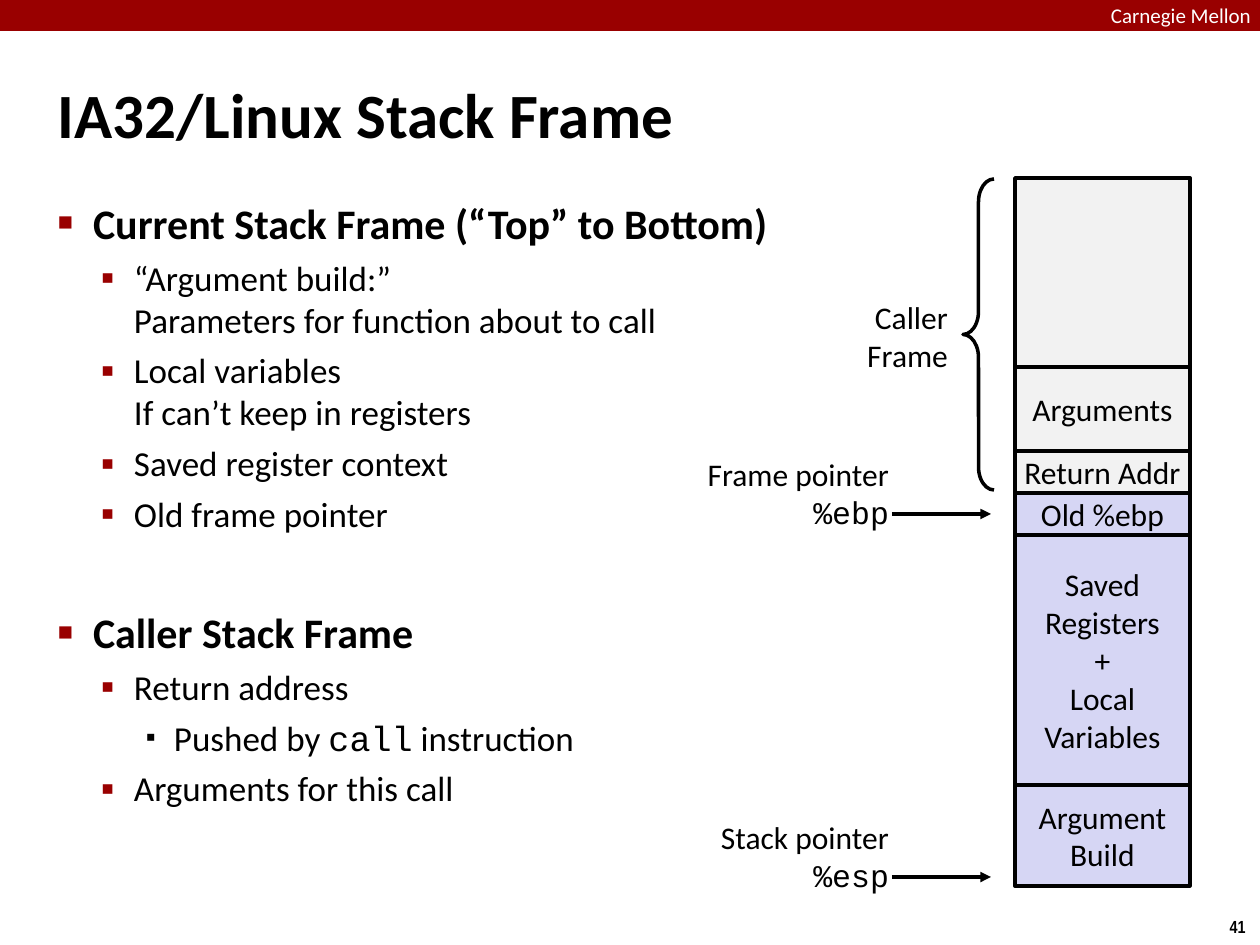
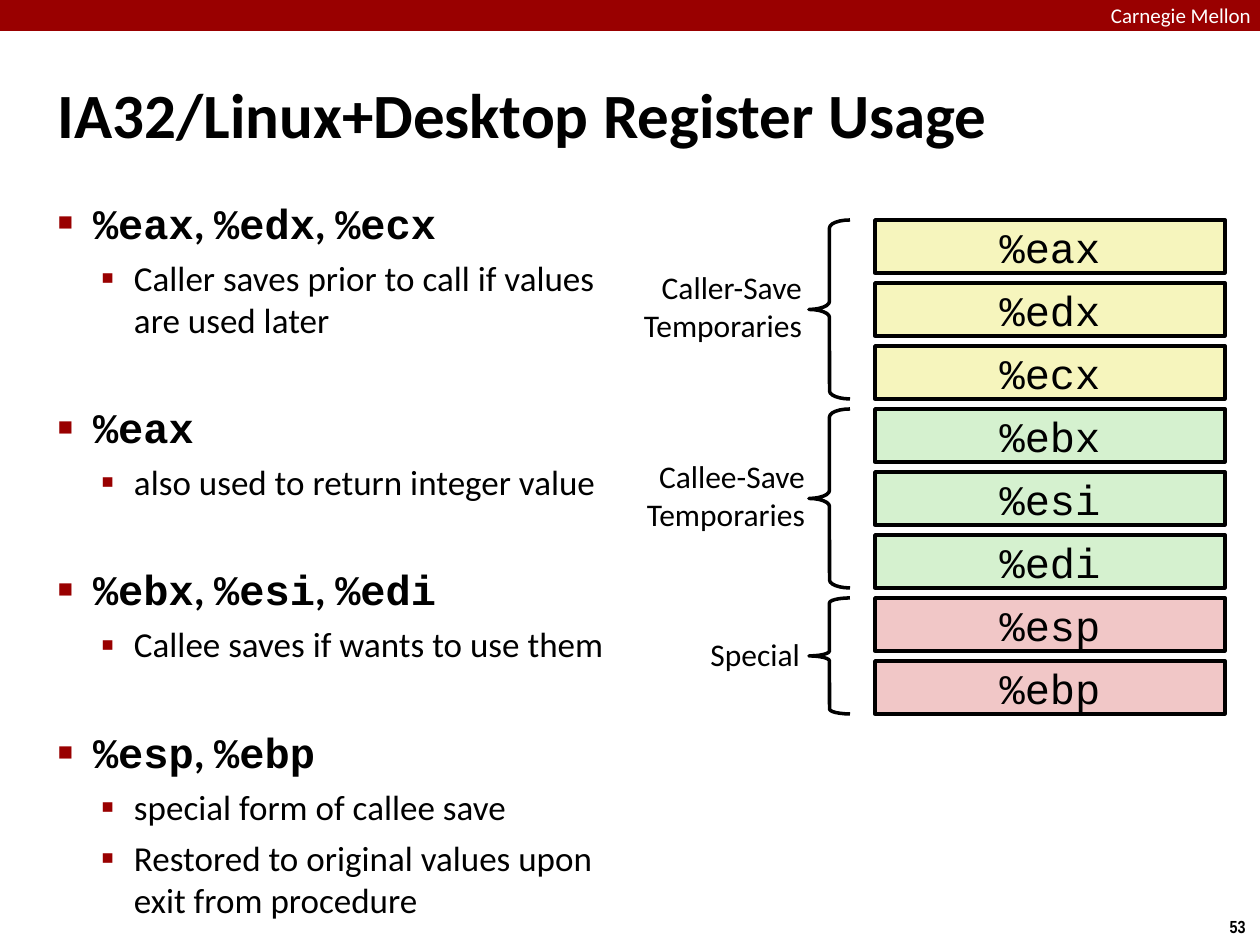
"""Build two lecture slides on IA32 stack frames and register usage."""
from itertools import accumulate

from lxml.etree import SubElement
from pptx import Presentation
from pptx.dml.color import RGBColor
from pptx.enum.shapes import MSO_CONNECTOR as LINK, MSO_SHAPE as SHAPE
from pptx.enum.text import MSO_ANCHOR as ANCHOR, MSO_AUTO_SIZE as FIT, PP_ALIGN as ALIGN
from pptx.oxml.ns import qn
from pptx.util import Emu, Pt

SCALE = 914400 / 126
WIDE, HIGH = 1260, 945
SANS, MONO, SMALL = "Calibri", "Courier New", "Arial Narrow"
BLACK, WHITE, RED = "000000", "FFFFFF", "990000"
GRAY, BLUE = "F2F2F2", "D6D6F4"
YELLOW, GREEN, PINK = "F6F5BD", "D5F1CF", "F1C7C7"

LEVELS = [
    dict(left=35, hang=35, before=6, mark="■", tint=RED, pct=60, size=24, bold=True),
    dict(left=76, hang=33, before=5, mark="▪", tint=RED, pct=110, size=20, bold=False),
    dict(left=116, hang=28, before=5, mark="▪", tint=BLACK, pct=80, size=20, bold=False),
]

FRAME = dict(
    title="IA32/Linux Stack Frame", number="41", width=741, gap=41,
    items=[
        (0, "Current Stack Frame (“Top” to Bottom)"),
        (1, "“Argument build:”\vParameters for function about to call"),
        (1, "Local variables\vIf can’t keep in registers"),
        (1, "Saved register context"),
        (1, "Old frame pointer"),
        (0, "Caller Stack Frame"),
        (1, "Return address"),
        (2, "Pushed by `call` instruction"),
        (1, "Arguments for this call"),
    ])
STACK = [
    ("", 189, GRAY),
    ("Arguments", 84, GRAY),
    ("Return Addr", 42, GRAY),
    ("Old %ebp", 42, BLUE),
    ("Saved\nRegisters\n+\nLocal\nVariables", 250, BLUE),
    ("Argument\nBuild", 101, BLUE),
]
POINTERS = [("Frame pointer\v`%ebp`", 514), ("Stack pointer\n`%esp`", 877)]

USAGE = dict(
    title="IA32/Linux+Desktop Register Usage", number="53", width=559, gap=35,
    items=[
        (0, "`%eax`, `%edx`, `%ecx`"),
        (1, "Caller saves prior to call if values are used later"),
        (0, "`%eax`"),
        (1, "also used to return integer value"),
        (0, "`%ebx`, `%esi`, `%edi`"),
        (1, "Callee saves if wants to use them"),
        (0, "`%esp`, `%ebp`"),
        (1, "special form of callee save"),
        (1, "Restored to original values upon exit from procedure"),
    ])
GROUPS = [
    ("Caller-Save\nTemporaries", 807, YELLOW, ["%eax", "%edx", "%ecx"]),
    ("Callee-Save\nTemporaries", 810, GREEN, ["%ebx", "%esi", "%edi"]),
    ("Special", 805, PINK, ["%esp", "%ebp"]),
]


def px(n):
    return Emu(round(n * SCALE))


def rgb(code):
    return RGBColor.from_string(code)


def place(shape, x, y, w, h):
    shape.left, shape.top, shape.width, shape.height = map(px, (x, y, w, h))


def fill_para(para, words, size=18, font=SANS, color=BLACK, bold=False):
    for i, line in enumerate(words.split("\v")):
        if i:
            para.add_line_break()
        for j, part in enumerate(line.split("`")):
            if part:
                run = para.add_run()
                run.text = part
                face = run.font
                face.name = MONO if j % 2 else font
                face.size, face.bold = Pt(size), bold
                face.color.rgb = rgb(color)


def write(shape, words, align=ALIGN.LEFT, anchor=ANCHOR.TOP, inset=0, **style):
    frame = shape.text_frame
    frame.word_wrap, frame.auto_size = True, FIT.NONE
    frame.vertical_anchor = anchor
    frame.margin_left = frame.margin_right = px(inset)
    frame.margin_top = frame.margin_bottom = px(inset)
    for i, line in enumerate(words.split("\n")):
        para = frame.add_paragraph() if i else frame.paragraphs[0]
        para.alignment = align
        fill_para(para, line, **style)


def label(slide, words, x, y, w, h, **style):
    write(slide.shapes.add_textbox(*map(px, (x, y, w, h))), words, **style)


def outline(item):
    item.line.color.rgb = rgb(BLACK)
    item.line.width = Pt(2)


def box(slide, x, y, w, h, fill, words="", edge=True, **style):
    shape = slide.shapes.add_shape(SHAPE.RECTANGLE, *map(px, (x, y, w, h)))
    shape.shadow.inherit = False
    shape.fill.solid()
    shape.fill.fore_color.rgb = rgb(fill)
    if edge:
        outline(shape)
    else:
        shape.line.fill.background()
    if words:
        write(shape, words, align=ALIGN.CENTER, anchor=ANCHOR.MIDDLE, **style)


def brace(slide, x, y, w, h, curve):
    shape = slide.shapes.add_shape(SHAPE.LEFT_BRACE, *map(px, (x, y, w, h)))
    shape.shadow.inherit = False
    shape.fill.background()
    outline(shape)
    shape.adjustments[0] = curve / min(w, h)


def arrow(slide, x, y, end):
    link = slide.shapes.add_connector(LINK.STRAIGHT, *map(px, (x, y, end, y)))
    outline(link)
    props = link.element.spPr
    SubElement(props.find(qn("a:ln")), qn("a:tailEnd"), type="triangle")
    SubElement(props, qn("a:effectLst"))


def bullet(para, left, hang, mark, tint, pct):
    props = para._p.get_or_add_pPr()
    props.set("marL", str(px(left)))
    props.set("indent", str(-px(hang)))
    SubElement(SubElement(props, qn("a:buClr")), qn("a:srgbClr"), val=tint)
    SubElement(props, qn("a:buSzPct"), val=str(pct * 1000))
    SubElement(props, qn("a:buChar"), char=mark)


def outlined_list(body, items, gap):
    frame = body.text_frame
    write(body, "", inset=5)
    for i, (level, words) in enumerate(items):
        rule = LEVELS[level]
        para = frame.add_paragraph() if i else frame.paragraphs[0]
        para.level = level
        para.alignment = ALIGN.LEFT
        para.line_spacing = 1.0
        before = rule["before"] if level else gap
        para.space_before = Pt(before if i else 0)
        para.space_after = Pt(0)
        bullet(para, *(rule[k] for k in ("left", "hang", "mark", "tint", "pct")))
        fill_para(para, words, size=rule["size"], bold=rule["bold"])


def base(deck, title, number, width, gap, items):
    slide = deck.slides.add_slide(deck.slide_layouts[1])
    head, body = slide.placeholders
    place(head, 53, 34, 1155, 158)
    write(head, title, anchor=ANCHOR.MIDDLE, inset=5, size=36, bold=True)
    place(body, 53, 192, width, 748)
    outlined_list(body, items, gap)
    box(slide, 0, 0, WIDE, 31, RED, edge=False)
    label(slide, "Carnegie Mellon", 1111, 3, 149, 24, size=12, color=WHITE)
    label(slide, number, 1216, 910, 43, 34, align=ALIGN.CENTER,
          anchor=ANCHOR.MIDDLE, size=10, font=SMALL, bold=True)
    return slide


def draw_stack(slide):
    tops = accumulate((high for _, high, _ in STACK), initial=178)
    for (words, high, fill), top in zip(STACK, tops):
        box(slide, 1015, top, 175, high, fill, words)
    brace(slide, 963, 179, 31, 311, curve=23)
    label(slide, "Caller\nFrame", 853, 293, 100, 87, align=ALIGN.RIGHT, inset=5)
    for words, y in POINTERS:
        label(slide, words, 683, y - 64, 211, 84, align=ALIGN.RIGHT, inset=5)
        arrow(slide, 892, y, 991)


def draw_regs(slide):
    top, step, high = 220, 63, 53
    for words, right, fill, regs in GROUPS:
        for i, reg in enumerate(regs):
            box(slide, 875, top + i * step, 350, high, fill, reg, size=24, font=MONO)
        span = step * len(regs) - (step - high)
        brace(slide, 809, top, 41, span, curve=span // 21)
        lines = words.count("\n") + 1
        tall = 38 * lines + 11
        label(slide, words, right - 180, top + (span - tall) // 2 - 2 * lines + 1,
              180, tall, align=ALIGN.RIGHT, inset=5)
        top += step * len(regs)


def main():
    deck = Presentation()
    deck.slide_width, deck.slide_height = px(WIDE), px(HIGH)
    draw_stack(base(deck, **FRAME))
    draw_regs(base(deck, **USAGE))
    deck.save("out.pptx")


if __name__ == "__main__":
    main()
